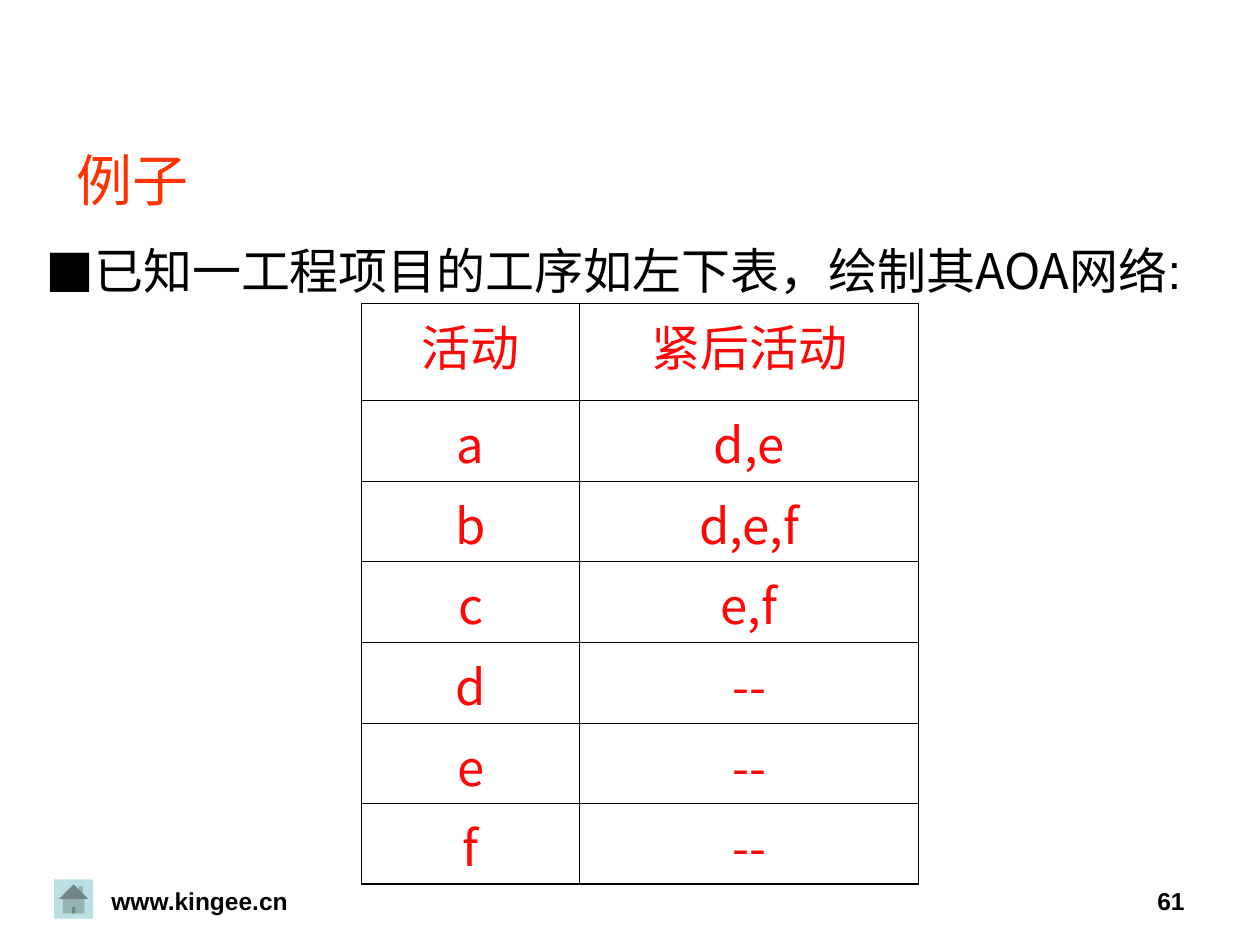
from lxml import etree
from pptx import Presentation
from pptx.dml.color import RGBColor
from pptx.enum.shapes import MSO_SHAPE as Shape
from pptx.enum.text import MSO_ANCHOR as Anchor, PP_ALIGN as Align
from pptx.oxml import parse_xml
from pptx.oxml.ns import nsdecls, qn
from pptx.util import Inches, Pt

COLORS = {"black": "000000", "title": "FF3300", "cell": "FF0707",
          "button": "BBE0E3", "white": "FFFFFF"}
LATIN, CJK = "Arial", "Noto Sans CJK SC"


def add_text(para, text, size=28, color="black", font=LATIN, bold=False, align=None):
    span = para.add_run()
    span.text = text
    span.font.size = Pt(size)
    span.font.bold = bold
    span.font.name = font
    span.font.color.rgb = RGBColor.from_string(COLORS[color])
    etree.SubElement(span.font._element, qn("a:ea"), typeface=CJK)
    if align is not None:
        para.alignment = align
    return span


def set_border(cell, side, width):
    cell._tc.get_or_add_tcPr().append(parse_xml(
        f'<a:{side} {nsdecls("a")} w="{Pt(width)}"><a:solidFill>'
        f'<a:srgbClr val="{COLORS["black"]}"/></a:solidFill></a:{side}>'))


deck = Presentation()
deck.slide_width, deck.slide_height = Inches(10), Inches(7.5)
page = deck.slides.add_slide(deck.slide_layouts[1])

# Home button
button = page.shapes.add_shape(Shape.ACTION_BUTTON_HOME, Inches(0.43), Inches(6.98),
                               Inches(0.31), Inches(0.31))
button.shadow.inherit = False
button.fill.solid()
button.fill.fore_color.rgb = RGBColor.from_string(COLORS["button"])
button.line.fill.background()

# Footer: address and page number
for text, left, width, align in [("www.kingee.cn", 0, 3.17, Align.CENTER),
                                 ("61", 7.17, 2.33, Align.RIGHT)]:
    box = page.shapes.add_textbox(Inches(left), Inches(6.98), Inches(width), Inches(0.52))
    box.text_frame.word_wrap = True
    add_text(box.text_frame.paragraphs[0], text, size=14, bold=True, align=align)

# Title with a hard text shadow
title = page.shapes.title
title.left, title.top, title.width, title.height = map(Inches, (0.51, 1.07, 9, 0.71))
title.text_frame.vertical_anchor = Anchor.MIDDLE
span = add_text(title.text_frame.paragraphs[0], "例子", size=32, color="title",
                align=Align.LEFT)
span.font._element.find(qn("a:solidFill")).addnext(parse_xml(
    f'<a:effectLst {nsdecls("a")}><a:outerShdw dist="{Pt(2)}" dir="2700000">'
    f'<a:srgbClr val="{COLORS["black"]}"/></a:outerShdw></a:effectLst>'))

# Bulleted statement
body = page.placeholders[1]
body.left, body.top, body.width, body.height = map(Inches, (0.2, 1.86, 9.61, 0.71))
body.text_frame.margin_right = Inches(0.05)
para = body.text_frame.paragraphs[0]
para.space_before = Pt(0)
props = para._p.get_or_add_pPr()
props.set("marL", str(Inches(0.44)))
props.set("indent", str(-Inches(0.38)))
etree.SubElement(etree.SubElement(props, qn("a:buClr")), qn("a:srgbClr"), val=COLORS["black"])
etree.SubElement(props, qn("a:buFont"), typeface=CJK)
etree.SubElement(props, qn("a:buChar"), char="■")
for text, font in [("已知一工程项目的工序如左下表，绘制其", LATIN), ("AOA", CJK), ("网络:", LATIN)]:
    add_text(para, text, font=font, align=Align.JUSTIFY)

# Activity table: thick outline, thin inner lines
rows = [("活动", "紧后活动"), ("a", "d,e"), ("b", "d,e,f"), ("c", "e,f"),
        ("d", "--"), ("e", "--"), ("f", "--")]
table = page.shapes.add_table(len(rows), 2, Inches(2.87), Inches(2.41),
                              Inches(4.42), Inches(4.62)).table
for column, width in zip(table.columns, (1.73, 2.69)):
    column.width = Inches(width)
for r, values in enumerate(rows):
    table.rows[r].height = Inches(0.64 if r else 0.77)
    for c, text in enumerate(values):
        cell = table.cell(r, c)
        add_text(cell.text_frame.paragraphs[0], text, color="cell", font=CJK,
                 align=Align.CENTER)
        outer = {"lnL": c == 0, "lnR": c == 1, "lnT": r == 0, "lnB": r == len(rows) - 1}
        for side, is_outer in outer.items():
            set_border(cell, side, 1.08 if is_outer else 0.45)
        cell.fill.solid()
        cell.fill.fore_color.rgb = RGBColor.from_string(COLORS["white"])

deck.save("out.pptx")
